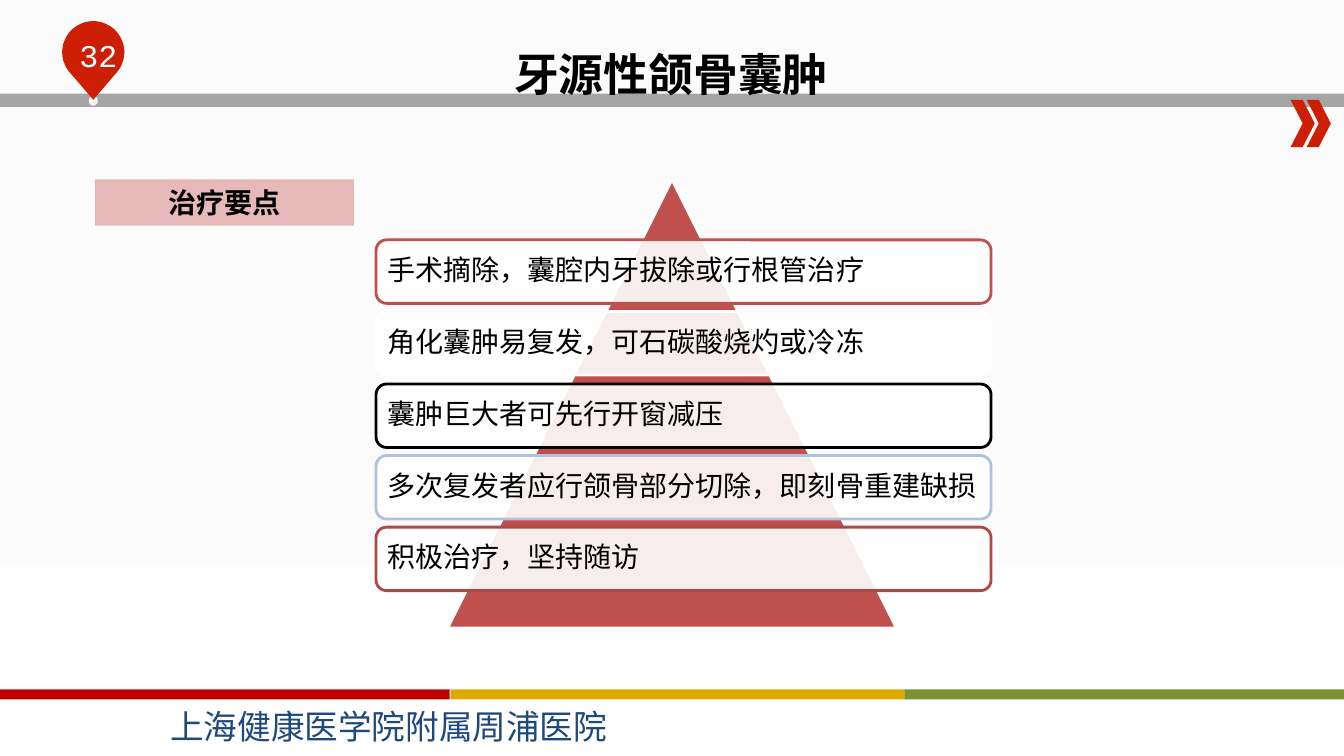
import math

from lxml import etree
from pptx import Presentation
from pptx.dml.color import RGBColor
from pptx.enum.shapes import MSO_SHAPE
from pptx.enum.text import MSO_ANCHOR, PP_ALIGN
from pptx.oxml.ns import qn
from pptx.util import Pt

PX = 9144  # 100 px to the inch
RECT, ROUNDED = MSO_SHAPE.RECTANGLE, MSO_SHAPE.ROUNDED_RECTANGLE
TRIANGLE, CHEVRON, OVAL = MSO_SHAPE.ISOSCELES_TRIANGLE, MSO_SHAPE.CHEVRON, MSO_SHAPE.OVAL
LEFT, CENTER = PP_ALIGN.LEFT, PP_ALIGN.CENTER
MIDDLE = MSO_ANCHOR.MIDDLE

WHITE = RGBColor(0xFF, 0xFF, 0xFF)
BLACK = RGBColor(0x00, 0x00, 0x00)
PAPER = RGBColor(0xFB, 0xFB, 0xFB)
DOT = RGBColor(0xF6, 0xF6, 0xF6)
GRAY = RGBColor(0xA5, 0xA5, 0xA5)
SCARLET = RGBColor(0xCD, 0x1F, 0x06)
RED = RGBColor(0xC0, 0x00, 0x00)
GOLD = RGBColor(0xDE, 0xA9, 0x00)
GREEN = RGBColor(0x7C, 0x91, 0x2F)
NAVY = RGBColor(0x1F, 0x49, 0x7D)
BRICK = RGBColor(0xC0, 0x50, 0x4D)
DARK_BRICK = RGBColor(0xAE, 0x48, 0x45)
PALE_BLUE = RGBColor(0xB2, 0xC1, 0xDB)
PINK = RGBColor(0xE6, 0xB9, 0xB8)

SERIF, SANS, MONO = "Times New Roman", "Noto Sans CJK SC", "Courier New"

prs = Presentation()
prs.slide_width, prs.slide_height = 1333 * PX, 750 * PX
s = prs.slides.add_slide(prs.slide_layouts[6])


def add_box(kind, x, y, w, h, fill, line=None):
    sp = s.shapes.add_shape(kind, x * PX, y * PX, w * PX, h * PX)
    sp.shadow.inherit = False
    sp.fill.solid()
    sp.fill.fore_color.rgb = fill
    if line is None:
        sp.line.fill.background()
    else:
        sp.line.color.rgb = line
        sp.line.width = Pt(2)
    return sp


def write(sp, text, size, font=SERIF, color=BLACK, bold=False, align=LEFT, wrap=True):
    tf = sp.text_frame
    tf.word_wrap = wrap
    p = tf.paragraphs[0]
    p.alignment = align
    r = p.add_run()
    r.text = text
    r.font.size, r.font.name, r.font.bold = Pt(size), font, bold
    r.font.color.rgb = color
    etree.SubElement(r.font._element, qn("a:ea"), typeface=SANS)
    return tf


# Background
bg = s.background.fill
bg.gradient()
bg.gradient_angle = 270
for stop, position, color in zip(bg.gradient_stops, (0.5, 1), (PAPER, WHITE)):
    stop.position = position
    stop.color.rgb = color

# Header band
add_box(RECT, 0, 93, 1333, 13, GRAY)
for x in (1280, 1296):
    add_box(CHEVRON, x, 99, 24, 47, SCARLET)
add_box(OVAL, 88, 95, 9, 10, DOT)

# Page number pin: three quarters of a circle closed by a point, in tenths of a px
cx, cy, radius = 925, 518, 308
arc = [(cx + radius * math.cos(math.radians(a)), cy + radius * math.sin(math.radians(a)))
       for a in range(135, 406, 5)]
fb = s.shapes.build_freeform(*arc[0], scale=PX / 10)
fb.add_line_segments(arc[1:] + [(cx, 990)], close=True)
pin = fb.convert_to_shape()
pin.shadow.inherit = False
pin.fill.solid()
pin.fill.fore_color.rgb = SCARLET
pin.line.fill.background()
number = s.shapes.add_textbox(54 * PX, 31 * PX, 87 * PX, 40 * PX)
write(number, "32", 22.6, MONO, WHITE, align=CENTER)

# Footer
for x, w, color in ((0, 446, RED), (447, 450, GOLD), (897, 436, GREEN)):
    add_box(RECT, x, 684, w, 10, color)
footer = s.shapes.add_textbox(159 * PX, 695 * PX, 453 * PX, 50 * PX)
write(footer, "上海健康医学院附属周浦医院", 24, SANS, NAVY, wrap=False)

# Pyramid list
add_box(TRIANGLE, 444, 178, 445, 445, BRICK, WHITE)
treatments = [
    ("手术摘除，囊腔内牙拔除或行根管治疗", BRICK),
    ("角化囊肿易复发，可石碳酸烧灼或冷冻", WHITE),
    ("囊肿巨大者可先行开窗减压", BLACK),
    ("多次复发者应行颌骨部分切除，即刻骨重建缺损", PALE_BLUE),
    ("积极治疗，坚持随访", DARK_BRICK),
]
for i, (text, color) in enumerate(treatments):
    bar = add_box(ROUNDED, 373, 238 + round(71.3 * i), 610, 63, WHITE, color)
    rgb = bar.fill._xPr.find(qn("a:solidFill")).find(qn("a:srgbClr"))
    etree.SubElement(rgb, qn("a:alpha"), val="90000")
    tf = write(bar, text, 20)
    tf.vertical_anchor = MIDDLE
    tf.margin_left = tf.margin_right = tf.margin_top = tf.margin_bottom = 8 * PX
    tf.paragraphs[0].line_spacing = 0.9

# Section label and title
label = add_box(RECT, 94, 178, 257, 46, PINK)
write(label, "治疗要点", 20, bold=True, align=CENTER).vertical_anchor = MIDDLE
title = s.shapes.add_textbox(500 * PX, 15 * PX, 334 * PX, 91 * PX)
tf = write(title, "牙源性颌骨囊肿", 32, bold=True, wrap=False)
tf.paragraphs[0].line_spacing = 1.5

prs.save("out.pptx")
